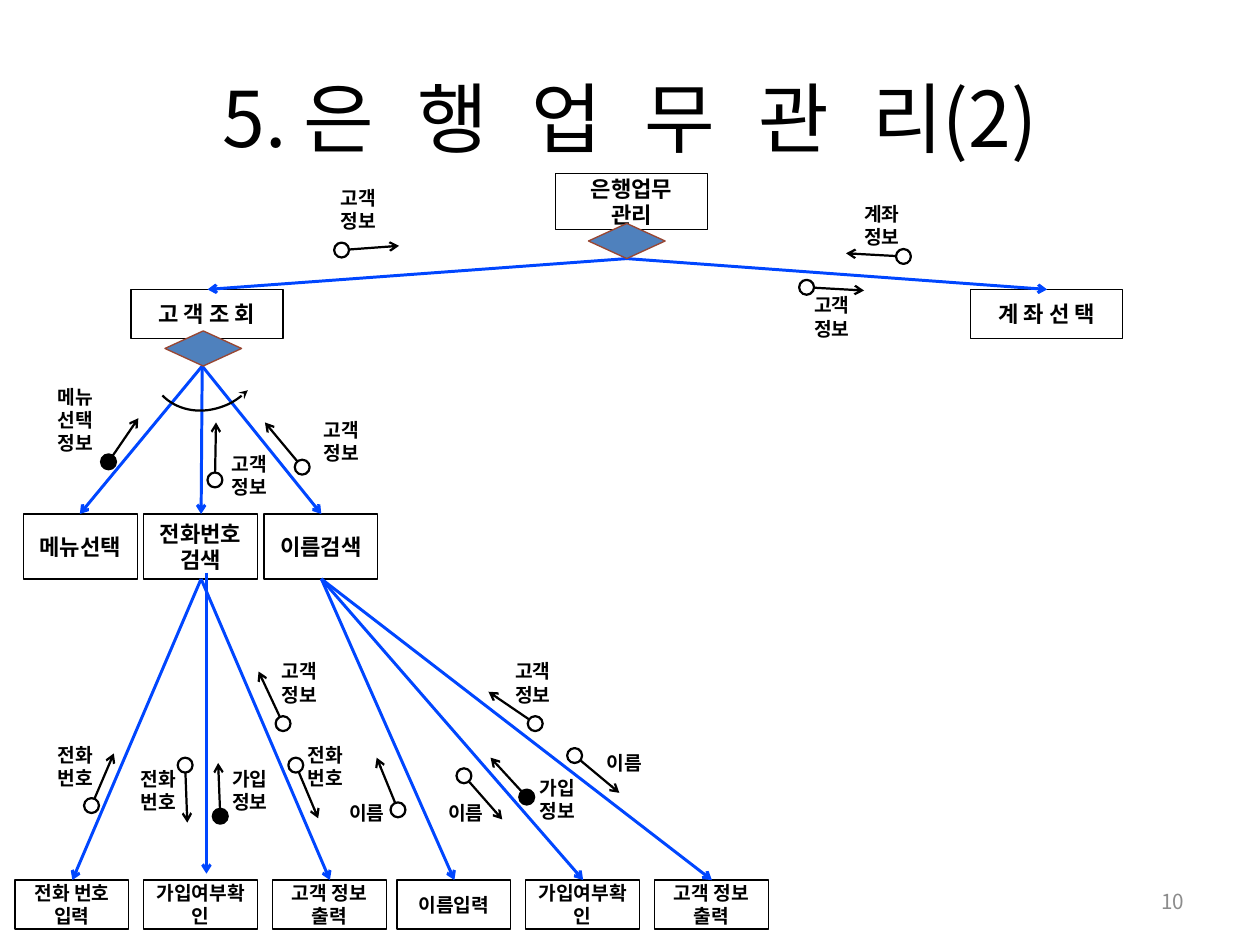
import math
from dataclasses import dataclass

from lxml import etree
from pptx import Presentation
from pptx import util as u
from pptx.dml.color import RGBColor
from pptx.enum import shapes, text
from pptx.oxml.ns import qn

PX = 9144  # 100 px to the inch
FONT = "Noto Sans CJK KR"
BLACK, WHITE, GRAY = "000000", "FFFFFF", "8C8C8C"
BLUE, DIAMOND_FILL, DIAMOND_LINE = "0046FF", "4F81BD", "994733"
CENTER, LEFT, RIGHT = text.PP_ALIGN.CENTER, text.PP_ALIGN.LEFT, text.PP_ALIGN.RIGHT
RADIUS = 7


@dataclass
class Module:
    words: str
    x: int
    y: int
    w: int
    h: int
    size: int = 15


@dataclass
class Branch:
    x: int
    y: int
    tips: list[tuple[int, int]]


@dataclass
class Couple:
    """A data circle (open) or control circle (filled) with its arrow tip."""
    x: int
    y: int
    tip_x: int
    tip_y: int
    filled: bool = False


@dataclass
class Label:
    words: str
    x: int
    y: int
    w: int
    h: int = 53


LEAVES = ["전화 번호\n입력", "가입여부확인", "고객 정보\n출력",
          "이름입력", "가입여부확인", "고객 정보\n출력"]
LEAF_X = [14, 135, 256, 373, 494, 615]
MODULES = [
    Module("은행업무\n관리", 522, 163, 143, 53),
    Module("고 객 조 회", 123, 272, 143, 46),
    Module("계 좌 선 택", 912, 272, 143, 46),
    *(Module(words, 22 + 113 * i, 483, 107, 61)
      for i, words in enumerate(["메뉴선택", "전화번호검색", "이름검색"])),
    *(Module(words, x, 827, 107, 46, 13) for words, x in zip(LEAVES, LEAF_X)),
]
BRANCHES = [
    Branch(589, 243, [(195, 272), (984, 272)]),
    Branch(190, 344, [(75, 483), (189, 483), (302, 483)]),
    Branch(189, 544, [(68, 827), (310, 827)]),
    Branch(194, 538, [(194, 821)]),
    Branch(302, 544, [(427, 827), (548, 827), (669, 827)]),
]
DIAMONDS = [(553, 210), (155, 311)]
COUPLES = [
    Couple(321, 235, 375, 231),
    Couple(849, 241, 795, 238),
    Couple(758, 270, 812, 273),
    Couple(102, 434, 130, 393, True),
    Couple(202, 451, 203, 397),
    Couple(284, 439, 249, 397),
    Couple(86, 757, 107, 708),
    Couple(174, 719, 176, 773),
    Couple(207, 767, 205, 717, True),
    Couple(266, 680, 243, 631),
    Couple(278, 719, 299, 769),
    Couple(374, 761, 354, 712),
    Couple(436, 729, 472, 770),
    Couple(495, 749, 461, 712, True),
    Couple(503, 680, 459, 650),
    Couple(540, 710, 582, 745),
]
LABELS = [
    Label("고객정보", 311, 171, 60),
    Label("계좌정보", 803, 186, 60),
    Label("고객정보", 756, 272, 60),
    Label("메뉴선택정보", 45, 358, 61, 75),
    Label("고객정보", 209, 421, 60),
    Label("고객정보", 295, 389, 60),
    Label("전화번호", 45, 694, 56),
    Label("전화번호", 123, 717, 54),
    Label("가입\n정보", 209, 717, 72),
    Label("고객정보", 256, 616, 60),
    Label("전화번호", 280, 694, 62),
    Label("이름", 319, 749, 56, 31),
    Label("이름", 412, 749, 54, 31),
    Label("가입\n정보", 498, 725, 72),
    Label("고객정보", 475, 616, 60),
    Label("이름", 561, 702, 62, 31),
]


def px(*values: float) -> list[int]:
    return [round(v * PX) for v in values]


def rgb(color: str) -> RGBColor:
    return RGBColor.from_string(color)


def style_text(tf, size: int, align, color: str = BLACK, bold: bool = False,
               insets: tuple[int, int] = (9, 4)) -> None:
    tf.word_wrap = True
    tf.margin_left = tf.margin_right = insets[0] * PX
    tf.margin_top = tf.margin_bottom = insets[1] * PX
    for p in tf.paragraphs:
        p.alignment = align
        p.font.name, p.font.size, p.font.bold = FONT, u.Pt(size), bold
        p.font.color.rgb = rgb(color)
        props = p._p.pPr.find(qn("a:defRPr"))
        etree.SubElement(props, qn("a:ea"), typeface=FONT)


def add_outline(container, kind, box: tuple, fill: str | None, line: str, width: float):
    sp = container.add_shape(kind, *px(*box))
    sp.shadow.inherit = False
    if fill:
        sp.fill.solid()
        sp.fill.fore_color.rgb = rgb(fill)
    else:
        sp.fill.background()
    sp.line.color.rgb = rgb(line)
    sp.line.width = u.Pt(width)
    return sp


def add_arrow(container, start: tuple, tip: tuple, color: str, width: float) -> None:
    line = container.add_connector(shapes.MSO_CONNECTOR.STRAIGHT, *px(*start, *tip))
    line.line.color.rgb = rgb(color)
    line.line.width = u.Pt(width)
    etree.SubElement(line.line._get_or_add_ln(), qn("a:tailEnd"), type="arrow")
    etree.SubElement(line._element.spPr, qn("a:effectLst"))


def add_module(container, m: Module) -> None:
    sp = add_outline(container, shapes.MSO_SHAPE.RECTANGLE, (m.x, m.y, m.w, m.h),
                     WHITE, BLACK, 0.9)
    sp.text_frame.text = m.words
    sp.text_frame.vertical_anchor = text.MSO_ANCHOR.MIDDLE
    style_text(sp.text_frame, m.size, CENTER, bold=True)


def add_couple(container, c: Couple) -> None:
    group = container.add_group_shape().shapes
    add_outline(group, shapes.MSO_SHAPE.FLOWCHART_CONNECTOR,
                (c.x - RADIUS, c.y - RADIUS, 2 * RADIUS, 2 * RADIUS),
                BLACK if c.filled else None, BLACK, 1.5)
    angle = math.atan2(c.tip_y - c.y, c.tip_x - c.x)
    reach = -RADIUS if c.filled else RADIUS
    start = (c.x + reach * math.cos(angle), c.y + reach * math.sin(angle))
    add_arrow(group, start, (c.tip_x, c.tip_y), BLACK, 1.5)


def add_label(container, label: Label) -> None:
    tf = container.add_textbox(*px(label.x, label.y, label.w, label.h)).text_frame
    tf.text = label.words
    style_text(tf, 13, LEFT, bold=True)
    tf.auto_size = text.MSO_AUTO_SIZE.SHAPE_TO_FIT_TEXT


def add_title(title) -> None:
    title.left, title.top, title.width, title.height = px(59, 36, 1066, 148)
    tf = title.text_frame
    tf.vertical_anchor = text.MSO_ANCHOR.MIDDLE
    p = tf.paragraphs[0]
    p.add_run().text = "5. 은"
    for part in ["행", "업", "무", "관", "리(2)"]:
        gap = p.add_run()
        gap.text = " "
        gap._r.get_or_add_rPr().set("spc", "1750")
        p.add_run().text = part
    style_text(tf, 52, CENTER, insets=(12, 6))


def main() -> None:
    prs = Presentation()
    prs.slide_width, prs.slide_height = px(1184, 888)
    slide = prs.slides.add_slide(prs.slide_layouts[5])
    add_title(slide.shapes.title)
    for module in MODULES:
        add_module(slide.shapes, module)
    for branch in BRANCHES:
        for tip in branch.tips:
            add_arrow(slide.shapes, (branch.x, branch.y), tip, BLUE, 2)
    for x, y in DIAMONDS:
        add_outline(slide.shapes, shapes.MSO_SHAPE.DIAMOND, (x, y, 72, 33),
                    DIAMOND_FILL, DIAMOND_LINE, 0.9)
    loop = add_outline(slide.shapes, shapes.MSO_SHAPE.ARC, (135, 276, 121, 106),
                       None, BLACK, 1.5)
    loop.rotation = 135.3
    etree.SubElement(loop.line._get_or_add_ln(), qn("a:headEnd"), type="stealth")
    for couple in COUPLES:
        add_couple(slide.shapes, couple)
    for label in LABELS:
        add_label(slide.shapes, label)
    number = slide.shapes.add_textbox(*px(849, 823, 276, 47)).text_frame
    number.text = "10"
    number.vertical_anchor = text.MSO_ANCHOR.MIDDLE
    style_text(number, 14, RIGHT, GRAY, insets=(12, 6))
    prs.save("out.pptx")


if __name__ == "__main__":
    main()
